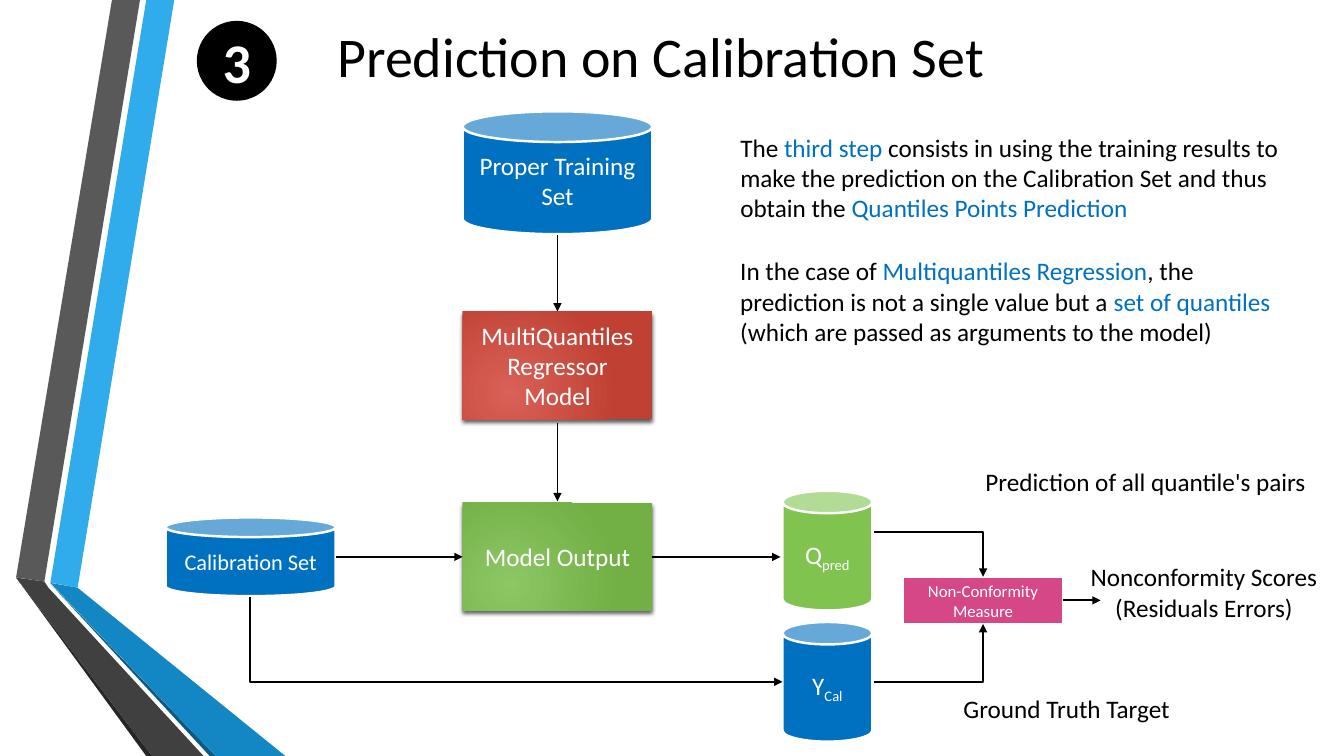
import pptx
import pptx.util
import pptx.dml.color
import pptx.enum.dml
import pptx.enum.shapes
import pptx.enum.text
import pptx.oxml
import pptx.oxml.ns
from pptx.util import Pt

THEME = {
    "font": "Calibri",
    "black": "000000", "white": "FFFFFF", "blue": "0070C0",
    "green": "80C34F", "pink": "D64787",
    "red gradient": ("D96157", "C04033"), "green gradient": ("8CC764", "72AF45"),
    "title": 40, "body": 18, "label": 16, "small": 12,
    "outline": 1.75, "arrow": 1.25,
}

TITLE = ("Prediction on Calibration Set", (226.8, 7.2, 490.3, 64))
STEP = ("3", (140.6, 14.9, 57.1, 57.1))

RIBBONS = [
    ("30ACEC", [(36, 416.2), (55.5, 419.8), (124.5, 0), (104.5, 0)]),
    ("595959", [(100, 0), (80, 0), (11.5, 412.5), (31.7, 415.4)]),
    ("262626", [(11.5, 412.6), (104.4, 540), (108.7, 540)]),
    ("0C5A82", [(36, 416.9), (149.8, 540), (154.1, 540)]),
    ("1287C3", [(36, 416.4), (154, 540), (203.8, 540), (55.4, 419.8)]),
    ("404040", [(145.4, 540), (34.6, 419.8), (31.7, 415.4), (11.5, 412.6), (108.7, 540)]),
]

# A paragraph is a list of (text, style) pairs; style is a colour name or "sub".
# name: (left, top, width, height), fill, size, paragraphs
CYLINDERS = {
    "training": ((330.5, 79.5, 135.4, 87.8), "blue", "body",
                 [[("Proper Training", "white")], [("Set", "white")]]),
    "true values": ((558.9, 444.3, 64.2, 85.5), "blue", "body",
                    [[("Y", "white"), ("Cal", "sub")]]),
    "predicted": ((558.9, 350.6, 64.2, 85.5), "green", "body",
                  [[("Q", "white"), ("pred", "sub")]]),
    "calibration": ((118.3, 369.6, 121.5, 56.2), "blue", "label",
                    [[("Calibration Set", "white")]]),
}
BOXES = {
    "regressor": ((330.5, 222.5, 135.4, 77), "red gradient", "body",
                  [[("MultiQuantiles", "white")], [("Regressor", "white")], [("Model", "white")]]),
    "output": ((330.5, 359.3, 135.4, 77), "green gradient", "body",
               [[("Model Output", "white")]]),
    "measure": ((645.1, 412, 114.2, 33.7), "pink", "small",
                [[("Non-Conformity", "white")], [("Measure", "white")]]),
}
CENTRE, LEFT = pptx.enum.text.PP_ALIGN.CENTER, pptx.enum.text.PP_ALIGN.LEFT
TEXTS = [
    ((753.8, 397.6, 212.4, 51), CENTRE,
     [[("Nonconformity Scores", "black")], [("(Residuals Errors)", "black")]]),
    ((691.2, 329.2, 254.2, 29), CENTRE, [[("Prediction of all quantile's pairs", "black")]]),
    ((681.1, 491.6, 172.8, 29), LEFT, [[("Ground Truth Target", "black")]]),
    ((521.7, 90.7, 406.8, 72.7), LEFT, [[
        ("The ", "black"), ("third step ", "blue"),
        ("consists in using the training results to make the prediction on the "
         "Calibration Set and thus obtain the ", "black"),
        ("Quantiles Points Prediction", "blue")]]),
    ((521.7, 179.1, 412.6, 72.7), LEFT, [[
        ("In the case of ", "black"), ("Multiquantiles Regression", "blue"),
        (", the prediction is not a single value but a ", "black"),
        ("set of quantiles", "blue"),
        (" (which are passed as arguments to the model)", "black")]]),
]

# Each end is a point or (box name, side): 0 top, 1 left, 2 bottom, 3 right
STRAIGHT_ARROWS = [
    ((398.2, 168), ("regressor", 0)),
    ((398.2, 302.4), (398.2, 358)),
    ((240, 397.8), ("output", 1)),
    (("output", 3), (557.5, 397.8)),
    (("measure", 3), (786.2, 428.85)),
]
# start, end, whether the first leg is vertical
BENT_ARROWS = [
    ((624, 380.2), (702.2, 412), False),
    ((624, 487), (702.2, 445.7), False),
    ((178.6, 426.2), (558.9, 487), True),
]


def colour(name):
    return pptx.dml.color.RGBColor.from_string(THEME.get(name, name))


def xml(markup):
    return pptx.oxml.parse_xml(markup.replace(">", " " + pptx.oxml.ns.nsdecls("a") + ">", 1))


def place(frame):
    return [Pt(length) for length in frame]


def write(text_frame, paragraphs, size, alignment):
    text_frame.word_wrap = True
    for index, pieces in enumerate(paragraphs):
        paragraph = text_frame.paragraphs[0] if index == 0 else text_frame.add_paragraph()
        paragraph.alignment = alignment
        for text, style in pieces:
            run = paragraph.add_run()
            run.text = text
            run.font.name = THEME["font"]
            run.font.size = Pt(THEME[size])
            run.font.color.rgb = colour("white" if style == "sub" else style)
            if style == "sub":
                run.font._element.set("baseline", "-25000")


def add_block(shapes, kind, frame, fill, size, paragraphs):
    shape = shapes.add_shape(kind, *place(frame))
    shape.shadow.inherit = False
    if fill.endswith("gradient"):
        shape.line.fill.background()
        shade(shape, THEME[fill])
    else:
        shape.fill.solid()
        shape.fill.fore_color.rgb = colour(fill)
        shape.line.color.rgb = colour("white")
        shape.line.width = Pt(THEME["outline"])
    shape.text_frame.vertical_anchor = pptx.enum.text.MSO_ANCHOR.MIDDLE
    write(shape.text_frame, paragraphs, size, CENTRE)
    return shape


def shade(shape, stops):
    """Give a shape a radial gradient and a soft shadow below it."""
    shape.fill.gradient()
    for stop, code in zip(shape.fill.gradient_stops, stops):
        stop.color.rgb = colour(code)
    properties = shape._element.spPr
    linear = properties.find(".//" + pptx.oxml.ns.qn("a:lin"))
    linear.getparent().replace(linear, xml(
        '<a:path path="circle"><a:fillToRect l="50000" t="100000" r="100000" b="50000"/></a:path>'))
    properties.find(pptx.oxml.ns.qn("a:effectLst")).append(xml(
        f'<a:outerShdw blurRad="{Pt(3)}" dist="{Pt(2)}" dir="5400000" rotWithShape="0">'
        '<a:srgbClr val="000000"><a:alpha val="64000"/></a:srgbClr></a:outerShdw>'))


def add_arrow(shapes, kind, start, end):
    connector = shapes.add_connector(kind, *place(start + end))
    connector.line.color.rgb = colour("black")
    connector.line.width = Pt(THEME["arrow"])
    connector.line._get_or_add_ln().append(xml('<a:tailEnd type="triangle"></a:tailEnd>'))
    connector._element.spPr.append(xml("<a:effectLst></a:effectLst>"))
    return connector


def add_straight_arrow(shapes, blocks, start, end):
    points = [(0, 0) if isinstance(tip[0], str) else tip for tip in (start, end)]
    connector = add_arrow(shapes, pptx.enum.shapes.MSO_CONNECTOR.STRAIGHT, *points)
    for tip, connect in ((start, connector.begin_connect), (end, connector.end_connect)):
        if isinstance(tip[0], str):
            connect(blocks[tip[0]], tip[1])


def add_bent_arrow(shapes, start, end, vertical_first):
    """Draw a one-corner arrow; a vertical first leg needs a turned, mirrored frame."""
    connector = add_arrow(shapes, pptx.enum.shapes.MSO_CONNECTOR.ELBOW, start, end)
    properties = connector._element.spPr
    properties.find(pptx.oxml.ns.qn("a:prstGeom")).set("prst", "bentConnector2")
    if vertical_first:
        width, height = connector.width, connector.height
        connector.left += (width - height) // 2
        connector.top += (height - width) // 2
        connector.width, connector.height = height, width
        frame = properties.find(pptx.oxml.ns.qn("a:xfrm"))
        frame.set("rot", "16200000")
        frame.set("flipH", "1")


def add_ribbon(shapes, fill, points):
    start, *others = [place(point) for point in points]
    builder = shapes.build_freeform(*start)
    builder.add_line_segments(others, close=True)
    ribbon = builder.convert_to_shape()
    ribbon.shadow.inherit = False
    ribbon.fill.solid()
    ribbon.fill.fore_color.rgb = colour(fill)
    ribbon.line.fill.background()


def main():
    presentation = pptx.Presentation()
    presentation.slide_width, presentation.slide_height = Pt(960), Pt(540)
    slide = presentation.slides.add_slide(presentation.slide_layouts[5])
    shapes = slide.shapes
    kinds = pptx.enum.shapes.MSO_SHAPE

    for fill, points in RIBBONS:
        add_ribbon(shapes, fill, points)

    text, frame = TITLE
    title = shapes.title
    title.left, title.top, title.width, title.height = place(frame)
    title.text_frame.vertical_anchor = pptx.enum.text.MSO_ANCHOR.MIDDLE
    write(title.text_frame, [[(text, "black")]], "title", CENTRE)

    text, frame = STEP
    badge = add_block(shapes, kinds.OVAL, frame, "black", "title", [[(text, "white")]])
    badge.line.fill.background()
    badge.text_frame.margin_left = badge.text_frame.margin_right = 0
    badge.text_frame.margin_top = badge.text_frame.margin_bottom = 0
    badge.text_frame.paragraphs[0].runs[0].font.bold = True

    for cylinder in CYLINDERS.values():
        add_block(shapes, kinds.CAN, *cylinder)
    blocks = {name: add_block(shapes, kinds.RECTANGLE, *box) for name, box in BOXES.items()}
    for start, end in STRAIGHT_ARROWS:
        add_straight_arrow(shapes, blocks, start, end)
    for arrow in BENT_ARROWS:
        add_bent_arrow(shapes, *arrow)
    for frame, alignment, paragraphs in TEXTS:
        write(shapes.add_textbox(*place(frame)).text_frame, paragraphs, "body", alignment)

    presentation.save("out.pptx")


if __name__ == "__main__":
    main()
